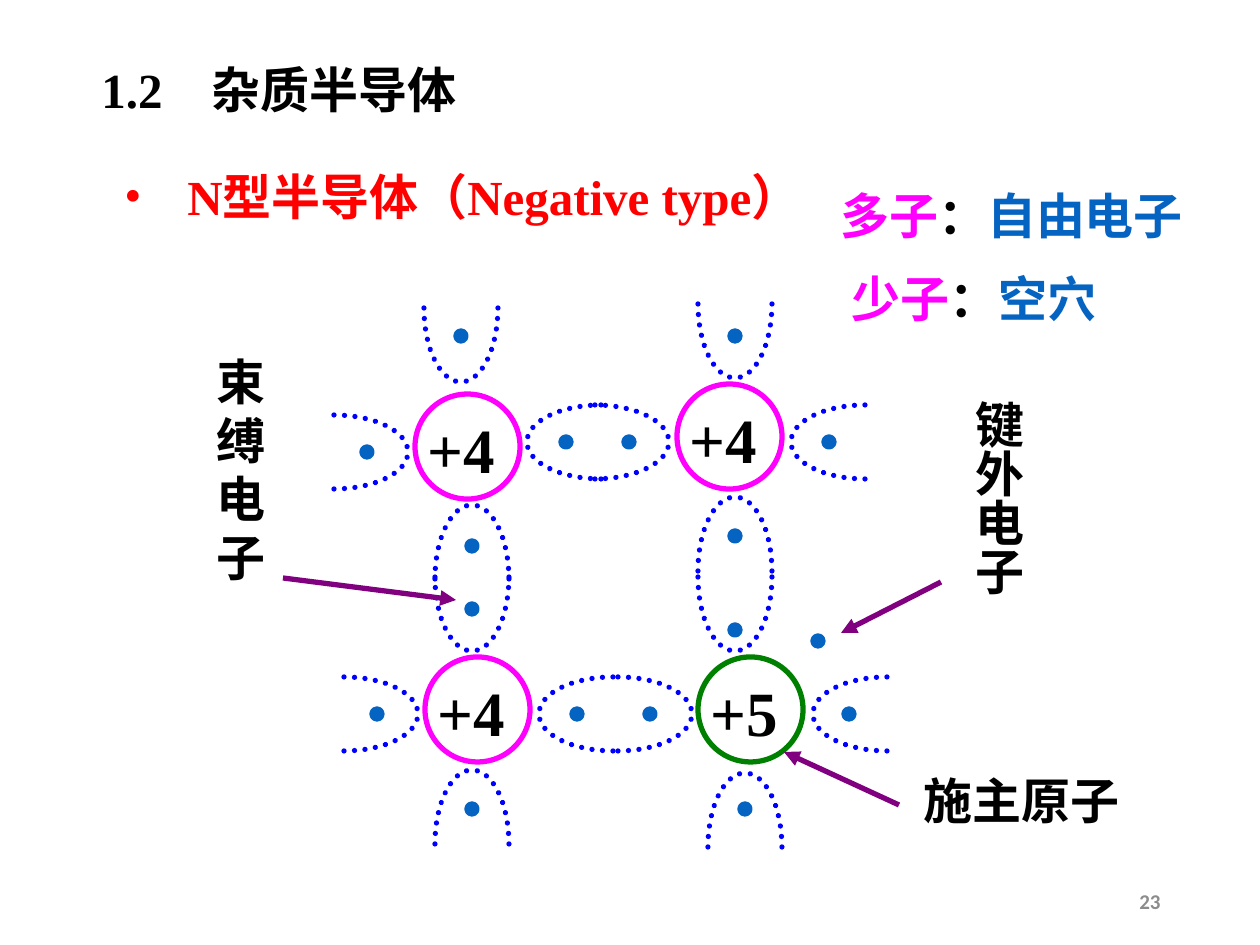
import math
from typing import NamedTuple

import pptx
import pptx.dml.color
import pptx.enum.dml
import pptx.enum.shapes
import pptx.enum.text
import pptx.oxml.ns
import pptx.util
from lxml import etree

EMU_PER_PX = 914400 / 126
BLACK, RED, MAGENTA = "000000", "FF0000", "FF00FF"
GREEN, PURPLE, BOND_BLUE, ELECTRON_BLUE = "008000", "800080", "0000FF", "0563C1"
GRAY = "8C8C8C"

ATOM_SIZE = 105
ELECTRON_SIZE = 10
BOND_LENGTH, BOND_HALF_WIDTH = 74, 37
ARC_STEPS = 16
UP, DOWN, LEFT, RIGHT = (0, -1), (0, 1), (-1, 0), (1, 0)


class Atom(NamedTuple):
    x: int
    y: int
    charge: str
    color: str


class Bond(NamedTuple):
    """Half bond: its closed tip, the way it opens, and the electron's distance from the tip."""
    x: int
    y: int
    opens: tuple[int, int]
    electron: int


class Arrow(NamedTuple):
    x1: int
    y1: int
    x2: int
    y2: int


class Label(NamedTuple):
    """Text in paragraphs, each a list of (text, colour) runs."""
    x: int
    y: int
    width: int
    height: int
    paragraphs: list[list[tuple[str, str]]]
    size: int = 28
    font: str = "Times New Roman"
    wrap: bool = True
    grow: bool = True


ATOMS = [
    Atom(677, 384, "+4", MAGENTA),
    Atom(698, 657, "+5", GREEN),
    Atom(425, 657, "+4", MAGENTA),
    Atom(415, 394, "+4", MAGENTA),
]
BONDS = [
    Bond(461, 382, UP, 46), Bond(735, 378, UP, 42),
    Bond(472, 651, UP, 42), Bond(735, 651, UP, 21),
    Bond(472, 505, DOWN, 41), Bond(735, 497, DOWN, 39),
    Bond(472, 770, DOWN, 39), Bond(745, 773, DOWN, 36),
    Bond(408, 452, LEFT, 41), Bond(669, 442, LEFT, 40),
    Bond(418, 714, LEFT, 41), Bond(692, 714, LEFT, 42),
    Bond(527, 442, RIGHT, 39), Bond(791, 442, RIGHT, 38),
    Bond(539, 714, RIGHT, 38), Bond(813, 714, RIGHT, 36),
]
FREE_ELECTRON = (818, 641)
ARROWS = [
    Arrow(283, 578, 456, 600),
    Arrow(941, 582, 841, 633),
    Arrow(899, 805, 784, 752),
]
TITLE = Label(89, 53, 1120, 72, [[("1.2\t杂质半导体", BLACK)]])
HEADING = Label(112, 160, 843, 72, [[("N型半导体（Negative type）", RED)]])
CARRIERS = Label(828, 179, 421, 160, [
    [("多子", MAGENTA), ("：", BLACK), ("自由电子", ELECTRON_BLUE)],
    [("少子", MAGENTA), ("：", BLACK), ("空穴", ELECTRON_BLUE)],
])
EXTRA_ELECTRON = Label(950, 388, 84, 230, [[("键外电子", BLACK)]])
BOUND_ELECTRON = Label(204, 345, 79, 251, [[("束缚电子", BLACK)]])
DONOR_ATOM = Label(911, 764, 222, 72, [[("施主原子", BLACK)]], wrap=False)
PAGE_NUMBER = Label(890, 876, 283, 50, [[("23", GRAY)]], 12, "Calibri", grow=False)


def px(length: float) -> int:
    return round(length * EMU_PER_PX)


def rgb(color: str):
    return pptx.dml.color.RGBColor.from_string(color)


def add_child(parent, tag: str, **attributes: str):
    child = etree.SubElement(parent, pptx.oxml.ns.qn(tag))
    for key, value in attributes.items():
        child.set(key, value)
    return child


def line_xml(shape):
    return shape.element.spPr.find(pptx.oxml.ns.qn("a:ln"))


def set_line(shape, color: str) -> None:
    shape.line.color.rgb = rgb(color)
    shape.line.width = pptx.util.Pt(3)


def draw_label(shapes, label: Label):
    box = shapes.add_textbox(px(label.x), px(label.y), px(label.width), px(label.height))
    frame = box.text_frame
    frame.word_wrap = label.wrap
    sizing = pptx.enum.text.MSO_AUTO_SIZE
    frame.auto_size = sizing.SHAPE_TO_FIT_TEXT if label.grow else sizing.NONE
    for index, runs in enumerate(label.paragraphs):
        paragraph = frame.add_paragraph() if index else frame.paragraphs[0]
        if index:
            paragraph.space_before = pptx.util.Pt(label.size / 2)
        for text, color in runs:
            run = paragraph.add_run()
            run.text = text
            run.font.name = label.font
            run.font.size = pptx.util.Pt(label.size)
            run.font.bold = True
            run.font.color.rgb = rgb(color)
    return frame


def paragraph_xml(frame, index: int = 0):
    return frame.paragraphs[index]._p.get_or_add_pPr()


def draw_circle(shapes, x: float, y: float, size: int, color: str, filled: bool) -> None:
    circle = shapes.add_shape(pptx.enum.shapes.MSO_SHAPE.OVAL,
                              px(x), px(y), px(size), px(size))
    circle.shadow.inherit = False
    if filled:
        circle.fill.solid()
        circle.fill.fore_color.rgb = rgb(color)
    else:
        circle.fill.background()
    set_line(circle, color)


def draw_atom(shapes, atom: Atom) -> None:
    draw_circle(shapes, atom.x, atom.y, ATOM_SIZE, atom.color, filled=False)
    draw_label(shapes, Label(atom.x, atom.y + 10, 126, 88, [[(atom.charge, BLACK)]], 36))


def draw_electron(shapes, x: int, y: int) -> None:
    radius = ELECTRON_SIZE / 2
    draw_circle(shapes, x - radius, y - radius, ELECTRON_SIZE, ELECTRON_BLUE, filled=True)


def draw_bond(shapes, bond: Bond) -> None:
    """Two dotted quarter ellipses that meet at the tip, and the electron inside."""
    dx, dy = bond.opens
    for side in (-1, 1):
        points = []
        for step in range(ARC_STEPS + 1):
            angle = math.pi / 2 * step / ARC_STEPS
            along = BOND_LENGTH * (1 - math.sin(angle))
            across = side * BOND_HALF_WIDTH * math.cos(angle)
            points.append((px(bond.x + dx * along - dy * across),
                           px(bond.y + dy * along + dx * across)))
        builder = shapes.build_freeform(*points[0])
        builder.add_line_segments(points[1:], close=False)
        arc = builder.convert_to_shape()
        arc.shadow.inherit = False
        arc.fill.background()
        set_line(arc, BOND_BLUE)
        arc.line.dash_style = pptx.enum.dml.MSO_LINE.ROUND_DOT
        line_xml(arc).set("cap", "rnd")
    draw_electron(shapes, bond.x + dx * bond.electron, bond.y + dy * bond.electron)


def draw_arrow(shapes, arrow: Arrow) -> None:
    connector = shapes.add_connector(pptx.enum.shapes.MSO_CONNECTOR.STRAIGHT,
                                     *(px(value) for value in arrow))
    set_line(connector, PURPLE)
    add_child(line_xml(connector), "a:tailEnd", type="triangle")
    add_child(connector.element.spPr, "a:effectLst")


def main() -> None:
    deck = pptx.Presentation()
    deck.slide_width, deck.slide_height = px(1260), px(945)
    shapes = deck.slides.add_slide(deck.slide_layouts[6]).shapes

    title = draw_label(shapes, TITLE)
    tabs = add_child(paragraph_xml(title), "a:tabLst")
    add_child(tabs, "a:tab", pos=str(px(110)), algn="l")

    heading = paragraph_xml(draw_label(shapes, HEADING))
    heading.set("marL", str(px(63)))
    heading.set("indent", str(px(-63)))
    add_child(heading, "a:buFont", typeface="Times New Roman")
    add_child(heading, "a:buChar", char="•")

    carriers = draw_label(shapes, CARRIERS)
    paragraph_xml(carriers, 1).set("marL", str(px(11)))

    for atom in ATOMS:
        draw_atom(shapes, atom)
    for bond in BONDS:
        draw_bond(shapes, bond)
    draw_electron(shapes, *FREE_ELECTRON)

    extra = draw_label(shapes, EXTRA_ELECTRON)
    extra._txBody.bodyPr.set("vert", "eaVert")
    draw_label(shapes, BOUND_ELECTRON)
    for arrow in ARROWS:
        draw_arrow(shapes, arrow)
    draw_label(shapes, DONOR_ATOM)

    page_number = draw_label(shapes, PAGE_NUMBER)
    page_number.vertical_anchor = pptx.enum.text.MSO_ANCHOR.MIDDLE
    page_number.paragraphs[0].alignment = pptx.enum.text.PP_ALIGN.RIGHT
    deck.save("out.pptx")


if __name__ == "__main__":
    main()
